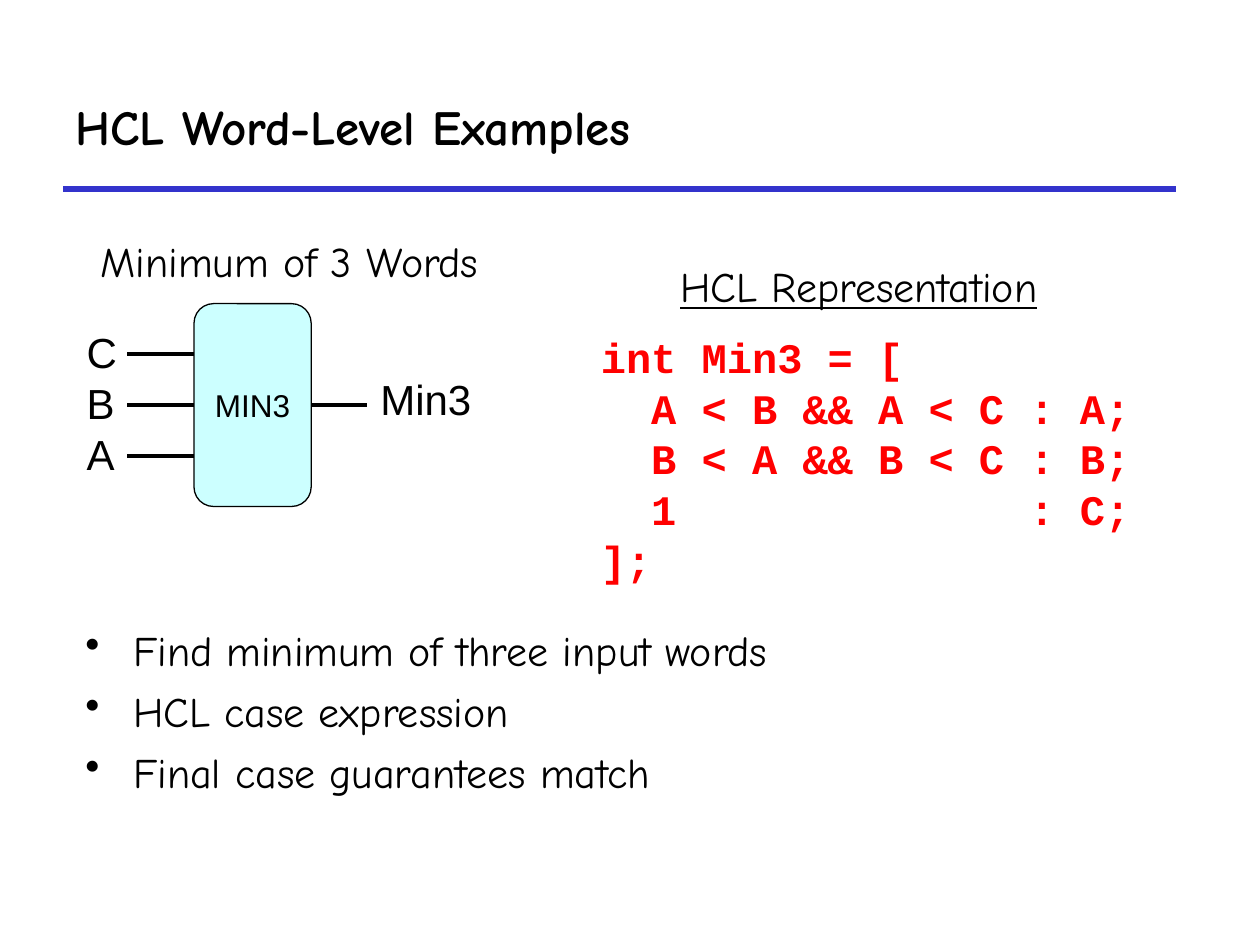
from lxml import etree
from pptx import Presentation
from pptx import util as u
from pptx.dml.color import RGBColor
from pptx.enum import shapes, text
from pptx.oxml import ns

deck = Presentation()
deck.slide_width, deck.slide_height = u.Inches(10), u.Inches(7.5)
COL, ROW = deck.slide_width / 10, deck.slide_height / 7.5
SANS, HAND, MONO = "Arial", "Comic Neue", "Courier New"


def paint(hue):
    return RGBColor.from_string(hue)


def place(x, y, w, h):
    return int(x * COL), int(y * ROW), int(w * COL), int(h * ROW)


def write(shape, lines, size=24, font=HAND, hue="000000", bold=False, under=False,
          wrap=False, mid=False, align=text.PP_ALIGN.LEFT, before=6, pitch=None,
          side=0.1, top=0.05, mark=False):
    frame = shape.text_frame
    frame.word_wrap = wrap
    frame.vertical_anchor = text.MSO_ANCHOR.MIDDLE if mid else text.MSO_ANCHOR.TOP
    frame.margin_left = frame.margin_right = u.Inches(side)
    frame.margin_top, frame.margin_bottom = u.Inches(top), u.Inches(0.05)
    for i, line in enumerate(lines):
        par = frame.paragraphs[0] if i == 0 else frame.add_paragraph()
        par.alignment = align
        par.space_before = u.Pt(before)
        if pitch:
            par.line_spacing = u.Pt(pitch)
        if mark:
            props = par._p.get_or_add_pPr()
            props.set("marL", str(u.Inches(0.38)))
            props.set("indent", str(-u.Inches(0.38)))
            etree.SubElement(props, ns.qn("a:buChar")).set("char", "•")
        run = par.add_run()
        run.text = line
        face = run.font
        face.name, face.size, face.bold, face.underline = font, u.Pt(size), bold, under
        face.color.rgb = paint(hue)


def label(slide, box, lines, **form):
    shape = slide.shapes.add_textbox(*place(*box))
    write(shape, lines, **form)


def wire(slide, start, end, hue="000000", width=2.25):
    line = slide.shapes.add_connector(
        shapes.MSO_CONNECTOR.STRAIGHT, *place(*start, *end))
    line.line.color.rgb = paint(hue)
    line.line.width = u.Pt(width)
    etree.SubElement(line._element.spPr, ns.qn("a:effectLst"))
    return line


def header(slide, box):
    x, y, w, h = box
    wire(slide, (x, y + h), (x + w, y + h), hue="3333CC", width=3)
    label(slide, box, ["HCL Word-Level Examples"], size=28, bold=True,
          wrap=True, mid=True, before=0)


def gate(slide, box):
    x, y, w, h = box
    left, right, mid = x + 0.95, x + 1.88, y + h / 2
    block = slide.shapes.add_shape(
        shapes.MSO_SHAPE.ROUNDED_RECTANGLE, *place(left, y, right - left, h))
    block.shadow.inherit = False
    block.fill.solid()
    block.fill.fore_color.rgb = paint("CCFFFF")
    block.line.color.rgb = paint("000000")
    block.line.width = u.Pt(0.75)
    write(block, ["MIN3"], size=18, font=SANS, mid=True, before=4.5,
          align=text.PP_ALIGN.CENTER)
    for i, word in enumerate("CBA"):
        level = mid + (i - 1) * h / 4
        line = wire(slide, (x + 0.42, level), (left, level))
        if word == "B":
            line.end_connect(block, 1)
        label(slide, (x, level - 0.27, 0.43, 0.51), [word], font=SANS)
    out = wire(slide, (right, mid), (x + 2.32, mid))
    out.begin_connect(block, 3)
    label(slide, (x + 2.33, mid - 0.3, w - 2.33, 0.51), ["Min3"], font=SANS)


def code(slide, box):
    cases = [("A < B && A < C", "A"), ("B < A && B < C", "B"), ("1", "C")]
    body = [f"  {test:<14} : {word};" for test, word in cases]
    label(slide, box, ["int Min3 = [", *body, "];"], font=MONO, hue="FF0000",
          bold=True, wrap=True, before=0, pitch=28.9, top=0.09)


def points(slide, box):
    label(slide, box, ["Find minimum of three input words", "HCL case expression",
                       "Final case guarantees match"], wrap=True, mark=True)


def main():
    slide = deck.slides.add_slide(deck.slide_layouts[6])
    header(slide, (0.5, 0.5, 8.83, 1))
    points(slide, (0.58, 4.91, 8.58, 1.84))
    gate(slide, (0.59, 2.41, 3.26, 1.61))
    code(slide, (4.67, 2.54, 4.92, 2.11))
    label(slide, (0.75, 1.82, 3.13, 0.51), ["Minimum of 3 Words"], side=0.05)
    label(slide, (5.35, 2.02, 2.96, 0.51), ["HCL Representation"], side=0.05,
          under=True)
    deck.save("out.pptx")


if __name__ == "__main__":
    main()
